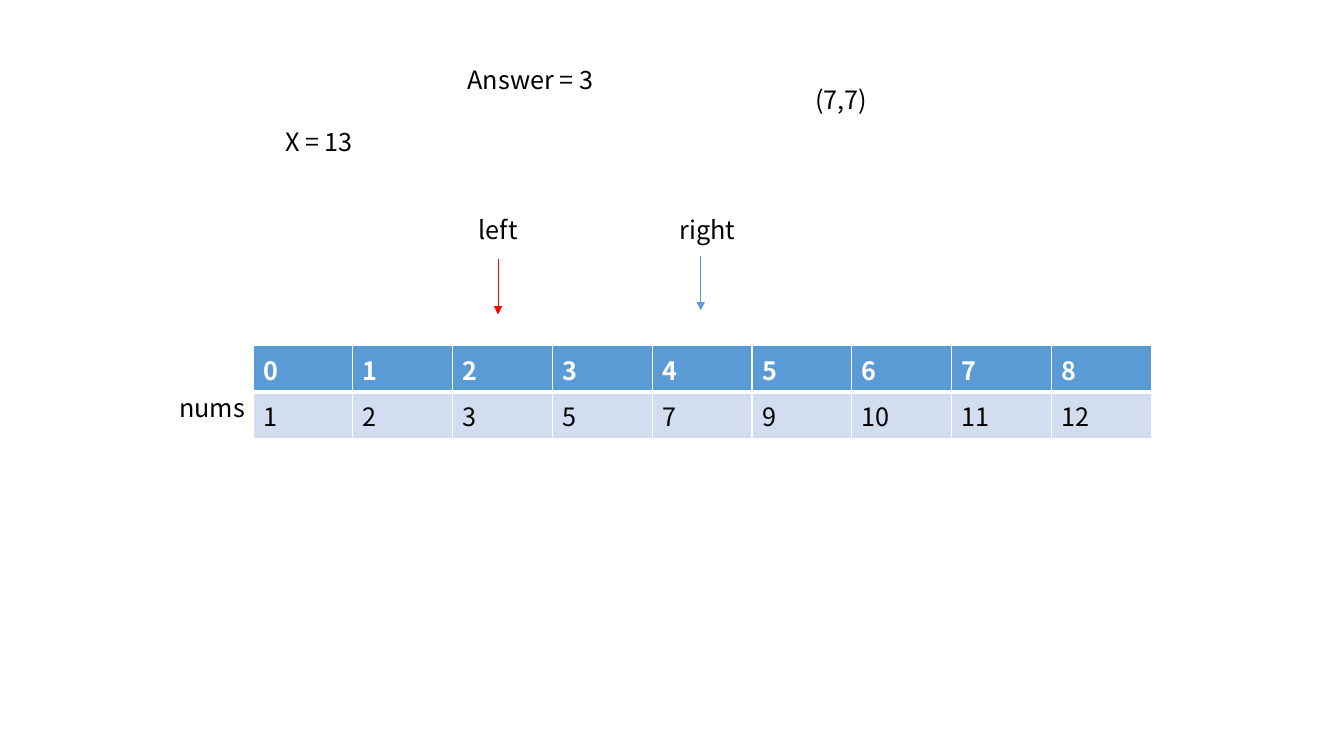
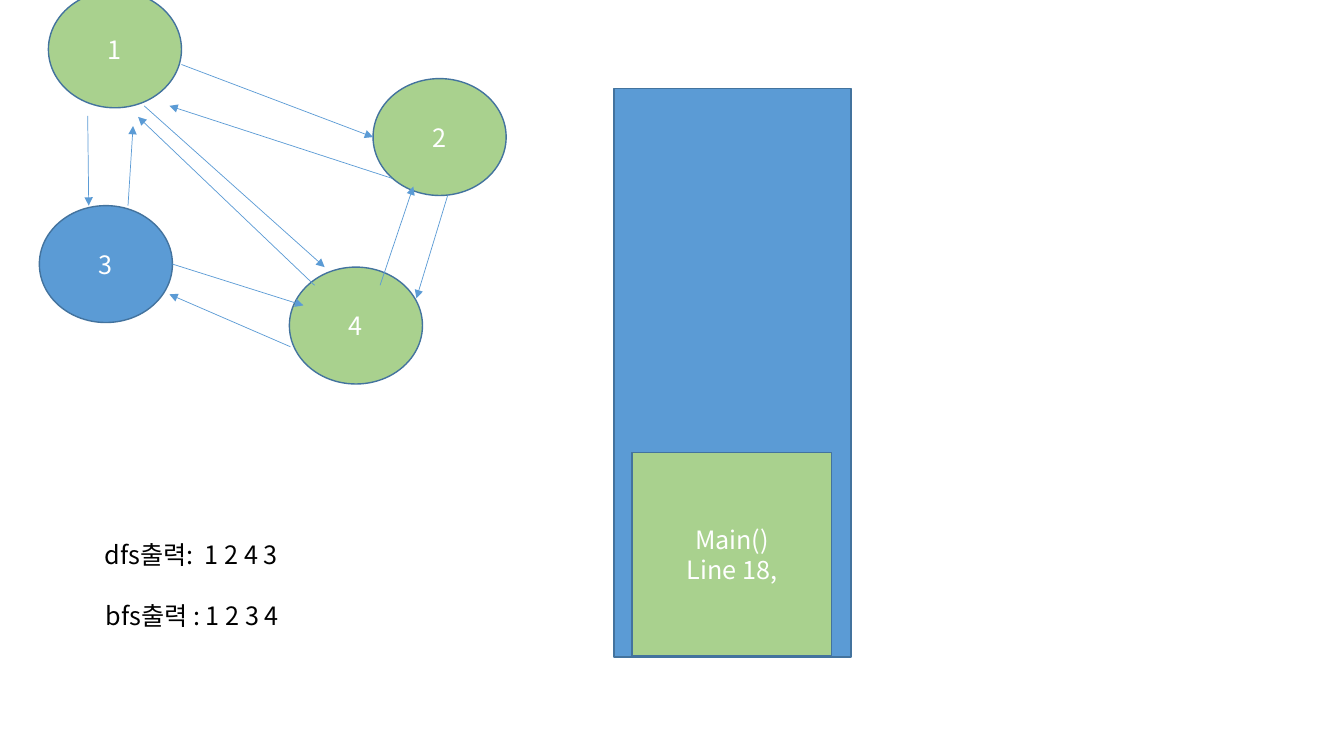
from dataclasses import dataclass

from lxml import etree
from pptx import Presentation
from pptx import slide as sl
from pptx import table as tb
from pptx import util as u
from pptx.dml import color as c
from pptx.enum import shapes as es
from pptx.enum import text as et
from pptx.oxml import ns
from pptx.shapes import autoshape as au
from pptx.text import text as tx

FONT = "Noto Sans CJK KR"
TEXT_SIZE = 18
COLORS = {
    "blue": "5B9BD5",
    "green": "A9D18E",
    "outline": "43739E",
    "pale": "D2DEEF",
    "red": "FF0000",
    "white": "FFFFFF",
    "black": "000000",
}
LABEL_HEIGHT = 0.4
NODE_WIDTH, NODE_HEIGHT = 1.32, 1.16
COLUMN_WIDTH, ROW_HEIGHT = 0.99, 0.41


@dataclass(frozen=True)
class Label:
    text: str
    left: float
    top: float
    width: float


@dataclass(frozen=True)
class Arrow:
    start: tuple[float, float]
    end: tuple[float, float]
    color: str = "blue"


@dataclass(frozen=True)
class Block:
    text: str
    left: float
    top: float
    width: float = NODE_WIDTH
    height: float = NODE_HEIGHT
    fill: str = "green"
    kind: es.MSO_SHAPE = es.MSO_SHAPE.OVAL


INDICES = [str(index) for index in range(9)]
NUMBERS = ["1", "2", "3", "5", "7", "9", "10", "11", "12"]
SEARCH_LABELS = [
    Label("X = 13", 2.73, 1.2, 1.3),
    Label("nums", 1.68, 3.84, 1.23),
    Label("Answer = 3", 4.54, 0.59, 3),
    Label("(7,7)", 7.99, 0.79, 1.6),
    Label("left", 4.65, 2.08, 1.09),
    Label("right", 6.64, 2.08, 1.09),
]
SEARCH_ARROWS = [
    Arrow((4.94, 2.57), (4.94, 3.12), "red"),
    Arrow((6.95, 2.54), (6.95, 3.08)),
]
GRAPH_BLOCKS = [
    Block("1", 0.48, -0.09),
    Block("2", 3.7, 0.78),
    Block("3", 0.39, 2.04, fill="blue"),
    Block("4", 2.87, 2.65),
    Block("", 6.09, 0.88, 2.35, 5.64, "blue", es.MSO_SHAPE.RECTANGLE),
    Block("Main()\nLine 18,", 6.27, 4.49, 1.98, 2.02, kind=es.MSO_SHAPE.RECTANGLE),
]
GRAPH_ARROWS = [
    Arrow((1.8, 0.64), (3.7, 1.36)),
    Arrow((3.89, 1.77), (1.68, 1.05)),
    Arrow((0.87, 1.15), (0.88, 2.04)),
    Arrow((1.27, 2.04), (1.32, 1.25)),
    Arrow((3.12, 2.83), (1.37, 1.16)),
    Arrow((1.43, 1.05), (3.22, 2.65)),
    Arrow((4.44, 1.94), (4.13, 2.96)),
    Arrow((3.77, 2.83), (4.1, 1.85)),
    Arrow((1.71, 2.62), (3.01, 3.03)),
    Arrow((2.88, 3.44), (1.68, 2.92)),
]
GRAPH_LABELS = [
    Label("dfs출력:  1 2 4 3", 0.94, 5.3, 2.5),
    Label("bfs출력 : 1 2 3 4", 0.95, 5.91, 2.75),
]


def rgb(name: str) -> c.RGBColor:
    return c.RGBColor.from_string(COLORS[name])


def write(frame: tx.TextFrame, text: str, color: str, bold: bool = False) -> None:
    frame.text = text
    for para in frame.paragraphs:
        for span in para.runs:
            span.font.size = u.Pt(TEXT_SIZE)
            span.font.bold = bold
            span.font.color.rgb = rgb(color)
            span.font.name = FONT
            properties = span.font._element if hasattr(span.font, "_element") else span._r.get_or_add_rPr()
            etree.SubElement(properties, ns.qn("a:ea"), typeface=FONT)


def add_label(page: sl.Slide, label: Label) -> None:
    box = page.shapes.add_textbox(
        u.Inches(label.left), u.Inches(label.top),
        u.Inches(label.width), u.Inches(LABEL_HEIGHT),
    )
    write(box.text_frame, label.text, "black")
    box.text_frame.word_wrap = True
    box.text_frame.auto_size = et.MSO_AUTO_SIZE.SHAPE_TO_FIT_TEXT


def add_arrow(page: sl.Slide, arrow: Arrow) -> None:
    line = page.shapes.add_connector(
        es.MSO_CONNECTOR.STRAIGHT,
        *(u.Inches(value) for value in arrow.start + arrow.end),
    )
    line.line.color.rgb = rgb(arrow.color)
    line.line.width = u.Pt(0.5)
    etree.SubElement(line.line._get_or_add_ln(), ns.qn("a:tailEnd"), type="triangle")
    etree.SubElement(line._element.spPr, ns.qn("a:effectLst"))


def add_block(page: sl.Slide, block: Block) -> au.Shape:
    shape = page.shapes.add_shape(
        block.kind, u.Inches(block.left), u.Inches(block.top),
        u.Inches(block.width), u.Inches(block.height),
    )
    shape.shadow.inherit = False
    shape.fill.solid()
    shape.fill.fore_color.rgb = rgb(block.fill)
    shape.line.color.rgb = rgb("outline")
    shape.line.width = u.Pt(1)
    write(shape.text_frame, block.text, "white")
    shape.text_frame.vertical_anchor = et.MSO_ANCHOR.MIDDLE
    for para in shape.text_frame.paragraphs:
        para.alignment = et.PP_ALIGN.CENTER
    return shape


def set_borders(cell: tb._Cell, widths: dict[str, float]) -> None:
    properties = cell._tc.get_or_add_tcPr()
    for position, (side, width) in enumerate(widths.items()):
        border = etree.Element(ns.qn(f"a:ln{side}"), w=str(u.Pt(width)))
        fill = etree.SubElement(border, ns.qn("a:solidFill"))
        etree.SubElement(fill, ns.qn("a:srgbClr"), val=COLORS["white"])
        properties.insert(position, border)


def add_array(page: sl.Slide, left: float, top: float) -> None:
    rows = [INDICES, NUMBERS]
    table = page.shapes.add_table(
        len(rows), len(INDICES), u.Inches(left), u.Inches(top),
        u.Inches(COLUMN_WIDTH * len(INDICES)), u.Inches(ROW_HEIGHT * len(rows)),
    ).table
    table.horz_banding = False
    for column in table.columns:
        column.width = u.Inches(COLUMN_WIDTH)
    for row_index, values in enumerate(rows):
        header = row_index == 0
        table.rows[row_index].height = u.Inches(ROW_HEIGHT)
        for column_index, value in enumerate(values):
            cell = table.cell(row_index, column_index)
            write(cell.text_frame, value, "white" if header else "black", header)
            cell.fill.solid()
            cell.fill.fore_color.rgb = rgb("blue" if header else "pale")
            set_borders(cell, {"L": 1, "R": 1, "T": 1 if header else 3, "B": 3 if header else 1})


def build_search(page: sl.Slide) -> None:
    add_array(page, 2.51, 3.43)
    for label in SEARCH_LABELS:
        add_label(page, label)
    for arrow in SEARCH_ARROWS:
        add_arrow(page, arrow)


def build_graph(page: sl.Slide) -> None:
    for block in GRAPH_BLOCKS:
        add_block(page, block)
    for arrow in GRAPH_ARROWS:
        add_arrow(page, arrow)
    for label in GRAPH_LABELS:
        add_label(page, label)


def main() -> None:
    deck = Presentation()
    deck.slide_width = u.Inches(13.33)
    deck.slide_height = u.Inches(7.5)
    blank = deck.slide_layouts.get_by_name("Blank")
    for build in (build_search, build_graph):
        build(deck.slides.add_slide(blank))
    deck.save("out.pptx")


if __name__ == "__main__":
    main()
